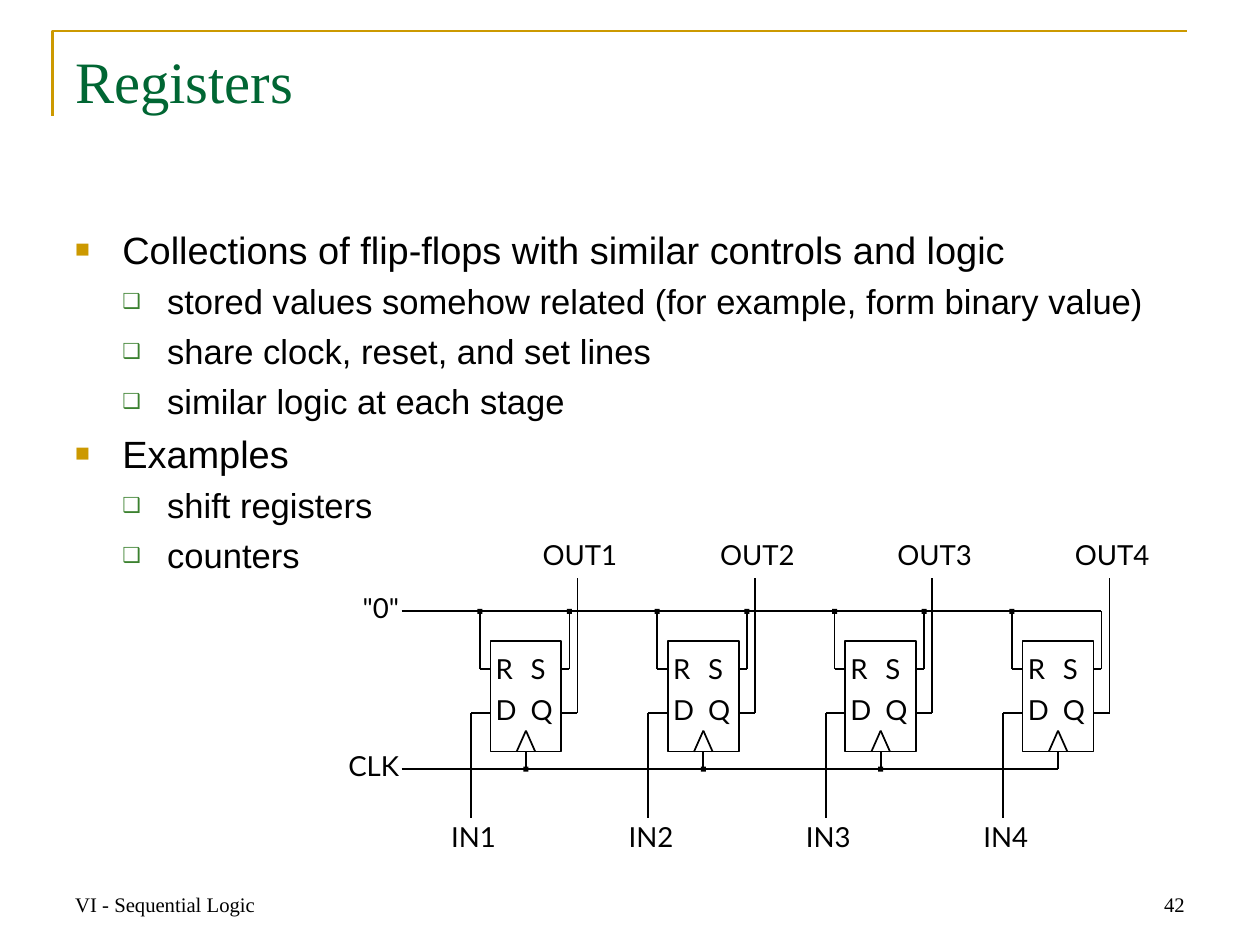
from dataclasses import dataclass

from lxml import etree
from pptx import Presentation
from pptx.dml.color import RGBColor
from pptx.enum.shapes import MSO_CONNECTOR, MSO_SHAPE
from pptx.enum.text import MSO_ANCHOR, PP_ALIGN
from pptx.oxml.ns import qn
from pptx.util import Inches, Pt

STRAIGHT = MSO_CONNECTOR.STRAIGHT
RECTANGLE = MSO_SHAPE.RECTANGLE
TOP, BOTTOM = MSO_ANCHOR.TOP, MSO_ANCHOR.BOTTOM
LEFT, CENTER, RIGHT = PP_ALIGN.LEFT, PP_ALIGN.CENTER, PP_ALIGN.RIGHT
BOTTOM_SIDE = 2


@dataclass(frozen=True)
class Theme:
    ink: str = "000000"
    paper: str = "FFFFFF"
    gold: str = "CC9900"
    green: str = "3B812F"
    heading: str = "006633"
    serif: str = "Times New Roman"
    sans: str = "Arial"
    label: str = "Lato"
    title_size: int = 34
    body_sizes: tuple = (22, 20)
    label_size: int = 16
    label_leading: int = 17
    footer_size: int = 12
    wire: float = 1
    frame: float = 1.5


@dataclass(frozen=True)
class Area:
    """A box divided into 100 columns and 100 rows."""
    left: float
    top: float
    width: float
    height: float

    def x(self, column):
        return Inches(self.left + self.width * column / 100)

    def y(self, row):
        return Inches(self.top + self.height * row / 100)

    def cell(self, column, row, columns, rows):
        return Area(self.left + self.width * column / 100,
                    self.top + self.height * row / 100,
                    self.width * columns / 100, self.height * rows / 100)

    def frame(self):
        return [Inches(n) for n in (self.left, self.top, self.width, self.height)]


THEME = Theme()
PAGE = Area(0, 0, 10.14, 7.6)
OUTLINE = [
    (0, "Collections of flip-flops with similar controls and logic"),
    (1, "stored values somehow related (for example, form binary value)"),
    (1, "share clock, reset, and set lines"),
    (1, "similar logic at each stage"),
    (0, "Examples"),
    (1, "shift registers"),
    (1, "counters"),
]
BULLETS = [("■", THEME.gold, 65, 0.38, 0.38), ("❑", THEME.green, 60, 0.74, 0.36)]
STAGES = 4

# Rows and columns of one flip-flop stage
BUS_ROW, RS_ROW, DQ_ROW, CLOCK_ROW = 22.25, 39.8, 53.2, 70.2
BLOCK_TOP, BLOCK_BOTTOM = 31.3, 64.9
IN_COL, R_COL, BLOCK_LEFT = 26, 31, 37
CLOCK_COL, BLOCK_RIGHT, S_COL, OUT_COL = 57, 77, 81.5, 86
LABEL_ROWS = 14.3


def add_text_box(slide, area, margins, anchor=TOP, wrap=True):
    frame = slide.shapes.add_textbox(*area.frame()).text_frame
    frame.word_wrap = wrap
    frame.vertical_anchor = anchor
    frame.margin_left = frame.margin_right = Inches(margins[0])
    frame.margin_top = frame.margin_bottom = Inches(margins[1])
    return frame


def add_span(para, text, font, size, color):
    span = para.add_run()
    span.text = text
    span.font.name = font
    span.font.size = Pt(size)
    span.font.color.rgb = RGBColor.from_string(color)


def add_line_of_text(slide, area, text, size, color, align=LEFT, anchor=TOP):
    para = add_text_box(slide, area, (0.1, 0.05), anchor).paragraphs[0]
    para.alignment = align
    add_span(para, text, THEME.serif, size, color)


def add_label(slide, area, text, align=LEFT):
    para = add_text_box(slide, area, (0.02, 0.03), wrap=False).paragraphs[0]
    para.alignment = align
    para.line_spacing = Pt(THEME.label_leading)
    add_span(para, text, THEME.label, THEME.label_size, THEME.ink)


def add_wire(slide, area, start, end):
    wire = slide.shapes.add_connector(STRAIGHT, area.x(start[0]), area.y(start[1]),
                                      area.x(end[0]), area.y(end[1]))
    wire.line.color.rgb = RGBColor.from_string(THEME.ink)
    wire.line.width = Pt(THEME.wire)
    etree.SubElement(wire.element.spPr, qn("a:effectLst"))
    return wire


def add_box(slide, area, fill, outlined):
    box = slide.shapes.add_shape(RECTANGLE, *area.frame())
    box.shadow.inherit = False
    box.fill.solid()
    box.fill.fore_color.rgb = RGBColor.from_string(fill)
    if outlined:
        box.line.color.rgb = RGBColor.from_string(THEME.ink)
        box.line.width = Pt(THEME.wire)
    else:
        box.line.fill.background()
    return box


def add_junction(slide, area, column, row):
    size = PAGE.width * 0.004
    center = area.cell(column, row, 0, 0)
    add_box(slide, Area(center.left - size / 2, center.top - size / 2, size, size),
            THEME.ink, outlined=False)


def set_bullet(para, level):
    char, color, percent, indent, hanging = BULLETS[level]
    props = para._p.get_or_add_pPr()
    props.set("marL", str(Inches(indent)))
    props.set("indent", str(-Inches(hanging)))
    holder = etree.SubElement(props, qn("a:buClr"))
    etree.SubElement(holder, qn("a:srgbClr"), val=color)
    etree.SubElement(props, qn("a:buSzPct"), val=str(percent * 1000))
    etree.SubElement(props, qn("a:buFont"), typeface=THEME.sans)
    etree.SubElement(props, qn("a:buChar"), char=char)


def add_corner_rule(slide, area):
    builder = slide.shapes.build_freeform(area.x(0), area.y(100))
    builder.add_line_segments([(area.x(0), area.y(0)), (area.x(100), area.y(0))],
                              close=False)
    rule = builder.convert_to_shape()
    rule.shadow.inherit = False
    rule.fill.background()
    rule.line.color.rgb = RGBColor.from_string(THEME.gold)
    rule.line.width = Pt(THEME.frame)


def add_outline(slide, area):
    frame = add_text_box(slide, area, (0.1, 0.05))
    for index, (level, text) in enumerate(OUTLINE):
        para = frame.add_paragraph() if index else frame.paragraphs[0]
        para.level = level
        para.space_before = Pt(5)
        set_bullet(para, level)
        add_span(para, text, THEME.sans, THEME.body_sizes[level], THEME.ink)


def add_stage(slide, area, number):
    # Block with its pin names and clock notch
    block = add_box(slide, area.cell(BLOCK_LEFT, BLOCK_TOP, BLOCK_RIGHT - BLOCK_LEFT,
                                     BLOCK_BOTTOM - BLOCK_TOP), THEME.paper, outlined=True)
    for row, pins in ((34.7, "RS"), (47.2, "DQ")):
        for column, pin in zip((38.5, 58.25), pins):
            add_label(slide, area.cell(column, row, 19, LABEL_ROWS), pin)
    for side in (-5.25, 5.25):
        add_wire(slide, area, (CLOCK_COL + side, BLOCK_BOTTOM), (CLOCK_COL, 58.5))

    # Wires
    clock = add_wire(slide, area, (CLOCK_COL, BLOCK_BOTTOM), (CLOCK_COL, CLOCK_ROW))
    clock.begin_connect(block, BOTTOM_SIDE)
    for edge, column, row, end_row in (
            (BLOCK_LEFT, R_COL, RS_ROW, BUS_ROW), (BLOCK_RIGHT, S_COL, RS_ROW, BUS_ROW),
            (BLOCK_LEFT, IN_COL, DQ_ROW, 84.9), (BLOCK_RIGHT, OUT_COL, DQ_ROW, 12)):
        add_wire(slide, area, (edge, row), (column, row))
        add_wire(slide, area, (column, row), (column, end_row))

    # Junctions: the rails end at the last stage
    add_junction(slide, area, R_COL, BUS_ROW)
    if number < STAGES:
        add_junction(slide, area, S_COL, BUS_ROW)
        add_junction(slide, area, CLOCK_COL, CLOCK_ROW)

    # Outer names
    for name, column, row in (("OUT", OUT_COL, 0), ("IN", IN_COL, 85.7)):
        add_label(slide, area.cell(column - 26, row, 55, LABEL_ROWS), f"{name}{number}", CENTER)


def add_register(slide, area):
    lead, rail_start = 11.6, 8.7
    pitch = (100 - lead) / STAGES
    last = lead + pitch * (STAGES - 1)
    for index in range(STAGES):
        add_stage(slide, area.cell(lead + pitch * index, 0, pitch, 100), index + 1)
    for name, row, label_row, end in (('"0"', BUS_ROW, 16.2, S_COL),
                                      ("CLK", CLOCK_ROW, 64.2, CLOCK_COL)):
        add_wire(slide, area, (rail_start, row), (last + pitch * end / 100, row))
        add_label(slide, area.cell(0, label_row, rail_start, LABEL_ROWS), name, RIGHT)


def add_footer(slide, area):
    for column, text, align in ((0, "VI - Sequential Logic", LEFT), (74, "42", RIGHT)):
        add_line_of_text(slide, area.cell(column, 0, 26, 100), text,
                         THEME.footer_size, THEME.ink, align, BOTTOM)


deck = Presentation()
deck.slide_width, deck.slide_height = Inches(PAGE.width), Inches(PAGE.height)
page = deck.slides.add_slide(deck.slide_layouts[6])
add_corner_rule(page, PAGE.cell(4.18, 3.3, 90, 8.95))
add_footer(page, PAGE.cell(5, 91.1, 90, 6.7))
add_register(page, PAGE.cell(26.33, 57, 63.7, 34.87))
add_line_of_text(page, PAGE.cell(5, 4.1, 90, 16.6), "Registers", THEME.title_size, THEME.heading)
add_outline(page, PAGE.cell(5, 23.3, 90, 66))
deck.save("out.pptx")
